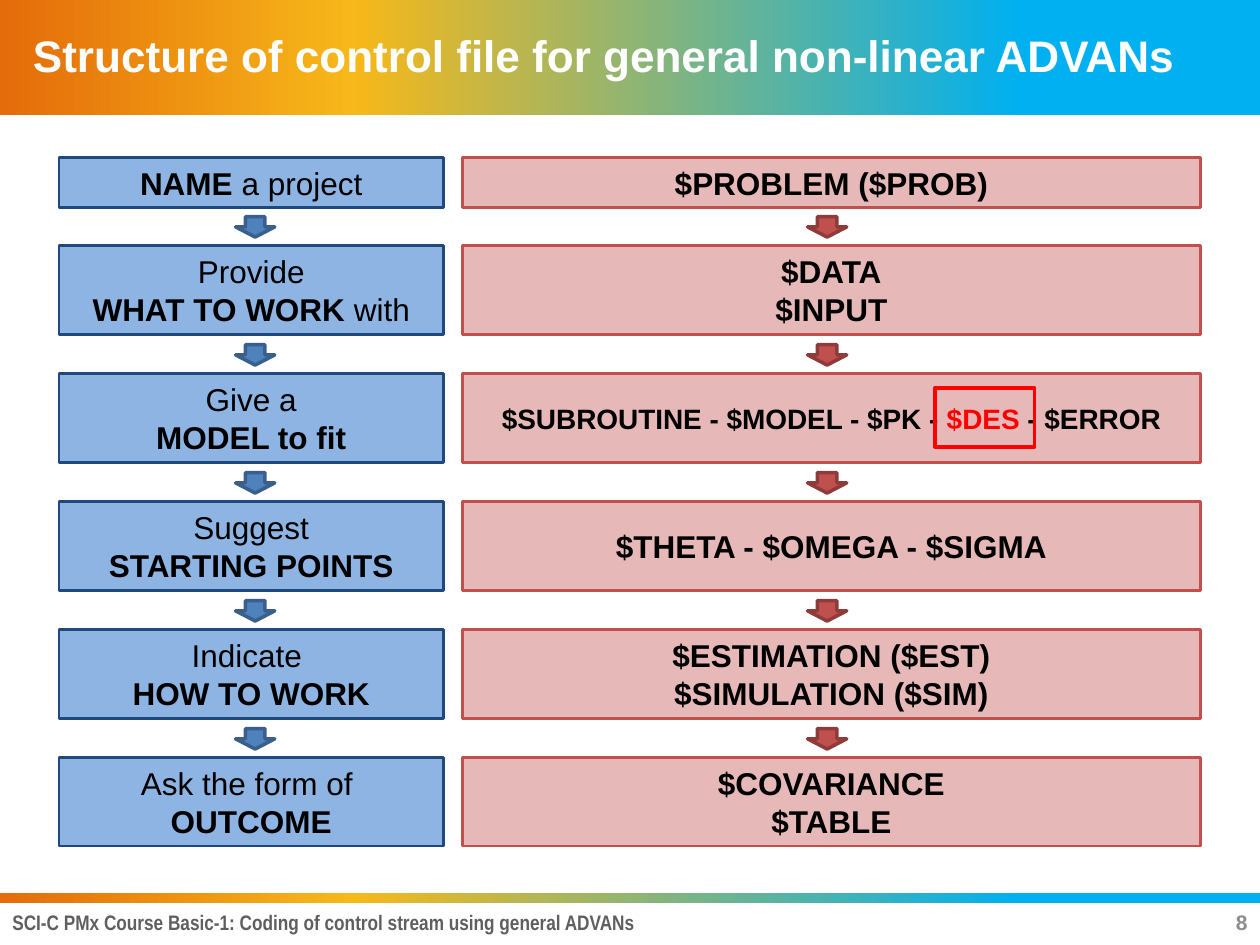
from copy import deepcopy

from pptx import Presentation
from pptx.dml.color import RGBColor
from pptx.enum.shapes import MSO_SHAPE
from pptx.enum.text import MSO_ANCHOR, MSO_AUTO_SIZE, PP_ALIGN
from pptx.util import Cm, Pt

RECTANGLE, DOWN_ARROW = MSO_SHAPE.RECTANGLE, MSO_SHAPE.DOWN_ARROW
LEFT, CENTER, RIGHT = PP_ALIGN.LEFT, PP_ALIGN.CENTER, PP_ALIGN.RIGHT
TOP, MIDDLE = MSO_ANCHOR.TOP, MSO_ANCHOR.MIDDLE
NO_AUTOFIT = MSO_AUTO_SIZE.NONE

SLIDE_WIDTH, SLIDE_HEIGHT = 25.4, 19.05
BRAND_STOPS = [(0, "E46C0A"), (0.28, "F7B819"), (0.81, "00B0F0")]

# Rows: a low first one, then equal steps
FIRST_TOP, FIRST_HEIGHT = 3.17, 1.02
SECOND_TOP, ROW_HEIGHT, ROW_STEP = 4.95, 1.79, 2.58
ARROW_WIDTH, ARROW_HEIGHT, ARROW_RISE = 0.79, 0.41, 0.58


def color(value):
    return RGBColor.from_string(value)


def box_span(row):
    """Top and height of the boxes in a row."""
    if row == 0:
        return FIRST_TOP, FIRST_HEIGHT
    return SECOND_TOP + (row - 1) * ROW_STEP, ROW_HEIGHT


class SlideBuilder:
    """Holds the slide and its style; one method for each kind of element."""

    def __init__(self, slide, font="Arial"):
        self.slide = slide
        self.font = font

    def add_lines(self, frame, lines, size, align=CENTER, anchor=MIDDLE, font=None):
        """Each line is a list of (text, bold, color) runs."""
        frame.word_wrap = True
        frame.auto_size = NO_AUTOFIT
        frame.vertical_anchor = anchor
        for index, runs in enumerate(lines):
            paragraph = frame.paragraphs[0] if index == 0 else frame.add_paragraph()
            paragraph.alignment = align
            for text, is_bold, text_color in runs:
                run = paragraph.add_run()
                run.text = text
                run.font.name = font or self.font
                run.font.size = Pt(size)
                run.font.bold = is_bold
                run.font.color.rgb = color(text_color)

    def title(self, text, left, top, width, height):
        title = self.slide.shapes.title
        title.left, title.top = Cm(left), Cm(top)
        title.width, title.height = Cm(width), Cm(height)
        self.add_lines(title.text_frame, [[(text, True, "FFFFFF")]], 25.2, LEFT)
        # Bring the title in front of the header band
        title._element.getparent().append(title._element)

    def shape(self, kind, left, top, width, height, fill=None, line=None, weight=1.5):
        shape = self.slide.shapes.add_shape(
            kind, Cm(left), Cm(top), Cm(width), Cm(height))
        shape.shadow.inherit = False
        if fill:
            shape.fill.solid()
            shape.fill.fore_color.rgb = color(fill)
        else:
            shape.fill.background()
        if line:
            shape.line.color.rgb = color(line)
            shape.line.width = Pt(weight)
        else:
            shape.line.fill.background()
        return shape

    def band(self, top, height):
        band = self.shape(RECTANGLE, 0, top, SLIDE_WIDTH, height)
        band.fill.gradient()
        band.fill.gradient_angle = 0
        stop_list = band._element.spPr.find(".//{*}gsLst")
        stop_list.append(deepcopy(stop_list[-1]))
        for stop, (position, value) in zip(band.fill.gradient_stops, BRAND_STOPS):
            stop.position = position
            stop.color.rgb = color(value)

    def text(self, text, left, top, width, height, text_color, **style):
        box = self.slide.shapes.add_textbox(Cm(left), Cm(top), Cm(width), Cm(height))
        self.add_lines(box.text_frame, [[(text, True, text_color)]], 12, **style)

    def column(self, left, width, arrow_left, box_style, arrow_style, rows):
        """A chain of boxes with an arrow above every box but the first."""
        for row, (size, lines) in enumerate(rows):
            top, height = box_span(row)
            box = self.shape(RECTANGLE, left, top, width, height, *box_style)
            self.add_lines(box.text_frame, lines, size)
            if row:
                self.shape(DOWN_ARROW, arrow_left, top - ARROW_RISE,
                           ARROW_WIDTH, ARROW_HEIGHT, *arrow_style, weight=2)


def plain(text):
    return text, False, "000000"


def bold(text, text_color="000000"):
    return text, True, text_color


STEPS = [
    (18, [[bold("NAME"), plain(" a project")]]),
    (18, [[plain("Provide")], [bold("WHAT TO WORK "), plain("with")]]),
    (18, [[plain("Give a")], [bold("MODEL to fit")]]),
    (18, [[plain("Suggest")], [bold("STARTING POINTS")]]),
    (18, [[plain("Indicate ")], [bold("HOW TO WORK")]]),
    (18, [[plain("Ask the form of ")], [bold("OUTCOME")]]),
]
RECORDS = [
    (18, [[bold("$PROBLEM ($PROB)")]]),
    (18, [[bold("$DATA")], [bold("$INPUT")]]),
    (16, [[bold("$SUBROUTINE - $MODEL - $PK - "), bold("$DES ", "FF0000"),
           bold("- $ERROR")]]),
    (18, [[bold("$THETA - $OMEGA - $SIGMA")]]),
    (18, [[bold("$ESTIMATION ($EST)")], [bold("$SIMULATION ($SIM)")]]),
    (18, [[bold("$COVARIANCE")], [bold("$TABLE")]]),
]


def main():
    presentation = Presentation()
    presentation.slide_width = Cm(SLIDE_WIDTH)
    presentation.slide_height = Cm(SLIDE_HEIGHT)
    builder = SlideBuilder(presentation.slides.add_slide(presentation.slide_layouts[5]))

    # Header and footer
    builder.band(0, 2.33)
    builder.band(18.01, 0.2)
    builder.title("Structure of control file for general non-linear ADVANs",
                  0.41, 0.34, 24.69, 1.55)
    builder.text("SCI-C PMx Course Basic-1: Coding of control stream using general ADVANs",
                 0, 18.21, SLIDE_WIDTH, 0.77, "5F5F5F",
                 align=LEFT, anchor=TOP, font="Arial Narrow")
    builder.text("8", 19.48, 18.26, 5.92, 0.66, "8C8C8C", align=RIGHT)

    # Steps on the left, matching control records on the right
    builder.column(1.19, 7.75, 4.75, ("8EB4E3", "1F497D"), ("4F81BD", "3A5F8C"), STEPS)
    builder.column(9.32, 14.88, 16.28, ("E6B9B8", "C0504D"), ("C0504D", "8E3B39"), RECORDS)

    # Frame around $DES
    builder.shape(RECTANGLE, 18.85, 7.82, 2.01, 1.19, line="FF0000", weight=2)

    presentation.save("out.pptx")


if __name__ == "__main__":
    main()
